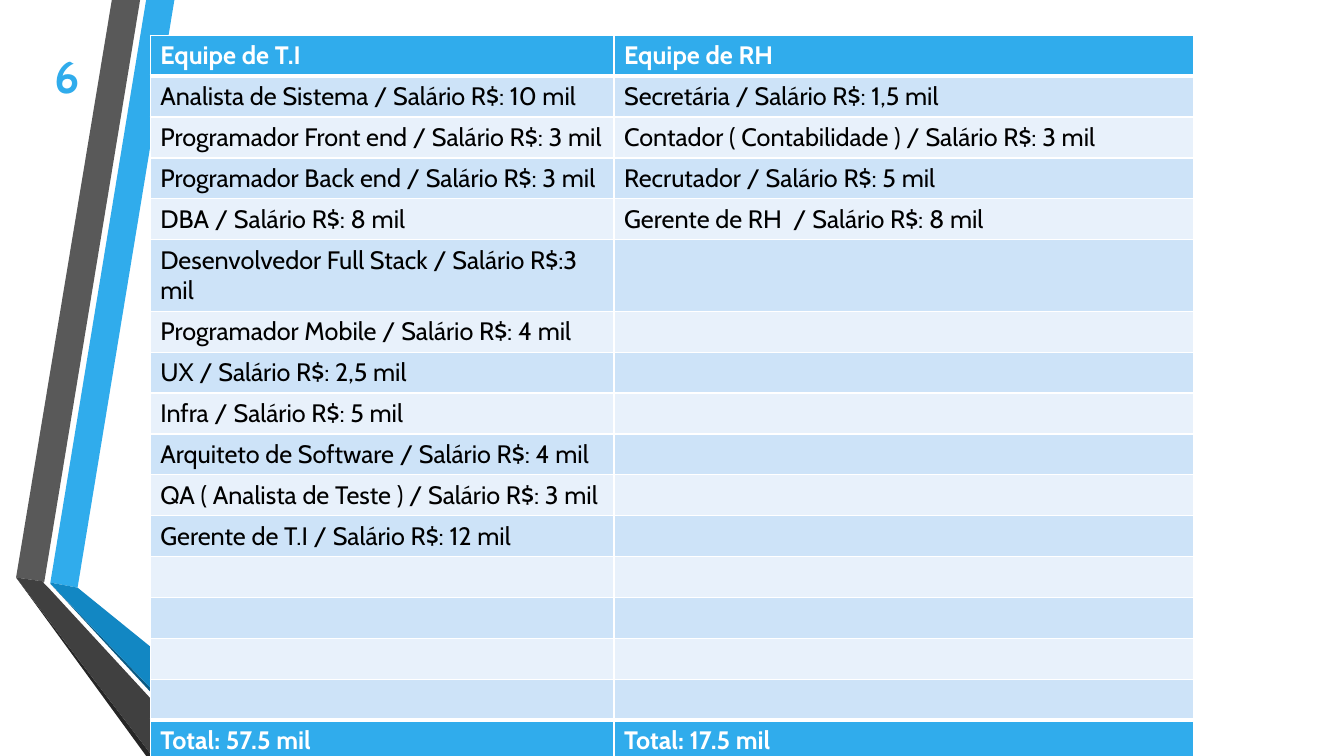
from itertools import zip_longest
from lxml.etree import SubElement
from pptx import Presentation
from pptx.dml.color import RGBColor
from pptx.oxml.ns import qn
from pptx.util import Inches, Pt

COLORS = {
    "blue": "30ACEC", "blue shade": "1287C3", "blue edge": "0C5A82",
    "gray": "595959", "gray shade": "404040", "gray edge": "262626",
    "dark band": "CDE3F8", "light band": "E8F1FB",
    "white": "FFFFFF", "black": "000000",
}

presentation = Presentation()
presentation.slide_width = Inches(13.33)
presentation.slide_height = Inches(7.5)
slide = presentation.slides.add_slide(presentation.slide_layouts[6])
column = presentation.slide_width // 1333
row = presentation.slide_height // 750


def write(text_frame, text, color, size, bold):
    run = text_frame.paragraphs[0].add_run()
    run.text = text
    formats = {"name": "Cabin", "size": Pt(size), "bold": bold}
    for name, value in formats.items():
        setattr(run.font, name, value)
    run.font.color.rgb = RGBColor.from_string(COLORS[color])


def add_border(cell, side, width):
    line = SubElement(cell._tc.get_or_add_tcPr(), qn(f"a:{side}"), w=str(Pt(width)))
    fill = SubElement(line, qn("a:solidFill"))
    SubElement(fill, qn("a:srgbClr"), val=COLORS["white"])


ribbon_faces = [
    ("blue", [(50, 578), (77, 583), (173, 0), (145, 0)]),
    ("gray", [(139, 0), (111, 0), (16, 573), (44, 577)]),
    ("gray edge", [(16, 573), (145, 750), (151, 750)]),
    ("blue edge", [(50, 579), (208, 750), (214, 750)]),
    ("blue shade", [(50, 578), (50, 579), (214, 750), (283, 750), (77, 583)]),
    ("gray shade", [(202, 750), (48, 583), (43, 578), (44, 577), (16, 573), (151, 750)]),
]
for color, points in ribbon_faces:
    builder = slide.shapes.build_freeform(*points[0], scale=(column, row))
    builder.add_line_segments(points[1:], close=True)
    face = builder.convert_to_shape()
    face.shadow.inherit = False
    face.fill.solid()
    face.fill.fore_color.rgb = RGBColor.from_string(COLORS[color])
    face.line.fill.background()

technology_team = [
    "Analista de Sistema / Salário R$: 10 mil",
    "Programador Front end / Salário R$: 3 mil",
    "Programador Back end / Salário R$: 3 mil",
    "DBA / Salário R$: 8 mil",
    "Desenvolvedor Full Stack / Salário R$:3 mil",
    "Programador Mobile / Salário R$: 4 mil",
    "UX / Salário R$: 2,5 mil",
    "Infra / Salário R$: 5 mil",
    "Arquiteto de Software / Salário R$: 4 mil",
    "QA ( Analista de Teste ) / Salário R$: 3 mil",
    "Gerente de T.I / Salário R$: 12 mil",
]
people_team = [
    "Secretária / Salário R$: 1,5 mil",
    "Contador ( Contabilidade ) / Salário R$: 3 mil",
    "Recrutador / Salário R$: 5 mil",
    "Gerente de RH  / Salário R$: 8 mil",
]
empty_rows = 4
salaries = list(zip_longest(technology_team, people_team, fillvalue=""))
table_rows = [
    ("Equipe de T.I", "Equipe de RH"),
    *salaries,
    *[("", "")] * empty_rows,
    ("Total: 57.5 mil", "Total: 17.5 mil"),
]
last = len(table_rows) - 1

table = slide.shapes.add_table(
    len(table_rows), 2, 149 * column, 35 * row, 1035 * column, 40 * row * len(table_rows)
).table
for table_column, width in zip(table.columns, (460, 575)):
    table_column.width = width * column
for index, texts in enumerate(table_rows):
    table.rows[index].height = 40 * row
    strong = index in (0, last)
    band = "blue" if strong else "dark band" if index % 2 else "light band"
    borders = {
        "lnL": 1,
        "lnR": 1,
        "lnT": 3 if index in (1, last) else 1,
        "lnB": 3 if index in (0, last - 1) else 1,
    }
    for cell, text in zip(table.rows[index].cells, texts):
        for side, width in borders.items():
            add_border(cell, side, width)
        cell.fill.solid()
        cell.fill.fore_color.rgb = RGBColor.from_string(COLORS[band])
        if text:
            write(cell.text_frame, text, "white" if strong else "black", 18, strong)

page_number = slide.shapes.add_textbox(44 * column, 43 * row, 66 * column, 64 * row)
page_number.text_frame.word_wrap = True
write(page_number.text_frame, "6", "blue", 32, True)

presentation.save("out.pptx")
